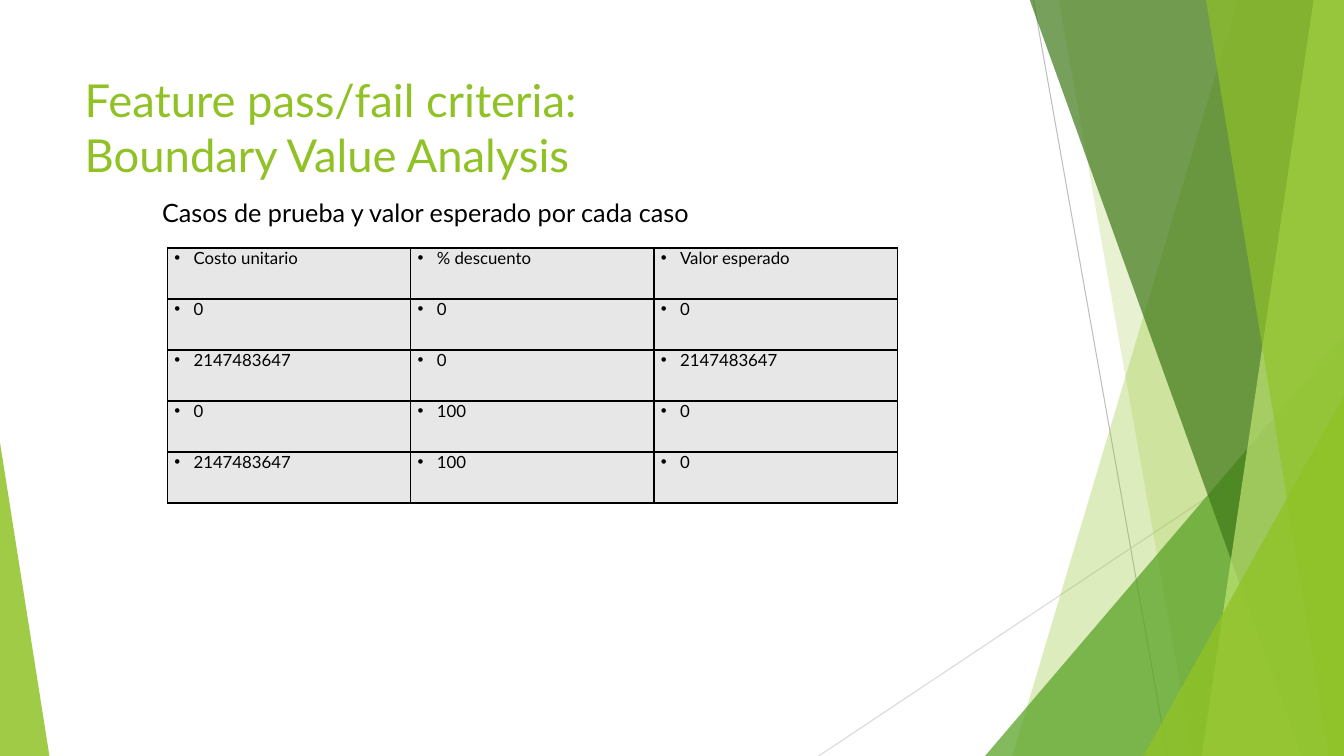
from pptx import Presentation
from pptx.dml.color import RGBColor as Rgb
from pptx.enum.shapes import MSO_CONNECTOR as Conn, MSO_SHAPE as Kind
from pptx.enum.text import MSO_ANCHOR as Anchor, MSO_AUTO_SIZE as Fit, PP_ALIGN as Align
from pptx.oxml import parse_xml
from pptx.oxml.ns import nsdecls
from pptx.util import Inches, Pt

WIDE, HIGH = 13.33, 7.5
LIME, BLACK, GREY = "90C226", "000000", "E7E7E7"
ROWS = [
    ("Costo unitario", "% descuento", "Valor esperado"),
    ("0", "0", "0"),
    ("2147483647", "0", "2147483647"),
    ("0", "100", "0"),
    ("2147483647", "100", "0"),
]


def hue(code):
    """Turn a hex string into a colour."""
    return Rgb.from_string(code)


def node(tag, attrs="", inner=""):
    """Make one DrawingML element."""
    return parse_xml(f"<a:{tag} {nsdecls('a')} {attrs}>{inner}</a:{tag}>")


def write(para, text, size, color):
    """Put text in a paragraph and format its runs."""
    para.text = text
    for run in para.runs:
        run.font.name = "Lato"
        run.font.size = Pt(size)
        run.font.color.rgb = hue(color)


def tint(shape, color, alpha):
    """Give a shape a see-through fill with no line or shadow."""
    shape.shadow.inherit = False
    shape.line.fill.background()
    shape.fill.solid()
    shape.fill.fore_color.rgb = hue(color)
    base = shape.fill._xPr.find(".//{*}srgbClr")
    base.append(node("alpha", f'val="{alpha * 1000}"'))


def ray(slide, start, end, color):
    """Draw a thin straight line."""
    ends = [Inches(n) for n in start + end]
    line = slide.shapes.add_connector(Conn.STRAIGHT, *ends)
    line.line.color.rgb = hue(color)
    line.line.width = Pt(0.75)
    line._element.spPr.append(node("effectLst"))


def sheet(slide, top, foot, color, alpha, right=WIDE):
    """Draw a full-height pane whose left edge slants from top to foot."""
    rise = -0.01
    spots = [(right, rise), (right, HIGH), (foot, HIGH)]
    pen = slide.shapes.build_freeform(Inches(top), Inches(rise))
    pen.add_line_segments([(Inches(x), Inches(y)) for x, y in spots])
    tint(pen.convert_to_shape(), color, alpha)


def wedge(slide, left, top, width, peak, color, alpha):
    """Draw a triangle that stands on the bottom edge."""
    box = [Inches(n) for n in (left, top, width, HIGH - top)]
    shape = slide.shapes.add_shape(Kind.ISOSCELES_TRIANGLE, *box)
    shape.adjustments[0] = peak
    tint(shape, color, alpha)


def facets(slide):
    """Draw the green facets at both sides."""
    ray(slide, (10.25, 0), (11.58, HIGH), "BFBFBF")
    ray(slide, (WIDE, 4.03), (8.12, HIGH), "D9D9D9")
    sheet(slide, 12.28, 10.04, LIME, 30)
    sheet(slide, 10.5, 11.83, LIME, 20)
    wedge(slide, 9.77, 3.33, 3.56, 1, "54A021", 72)
    sheet(slide, 10.21, 12.91, "3F7819", 70)
    sheet(slide, 13.03, 11.92, "C0E474", 70)
    sheet(slide, 11.96, 13.18, LIME, 65)
    wedge(slide, 11.34, 3.93, 1.99, 1, LIME, 80)
    wedge(slide, 0, 4.39, 0.49, 0, LIME, 85)


def head(slide, text):
    """Set the title in front of the facets."""
    title = slide.shapes.title
    title.left, title.top = Inches(0.74), Inches(0.67)
    title.width, title.height = Inches(9.4), Inches(1.44)
    frame = title.text_frame
    frame.auto_size = Fit.NONE
    frame.vertical_anchor = Anchor.TOP
    para = frame.paragraphs[0]
    write(para, text, 32.4, LIME)
    para.alignment = Align.LEFT
    slide.shapes._spTree.append(title._element)


def label(slide, text):
    """Add the line above the table."""
    box = slide.shapes.add_textbox(Inches(1.51), Inches(1.91), Inches(6.08), Inches(0.4))
    frame = box.text_frame
    frame.word_wrap = True
    frame.auto_size = Fit.SHAPE_TO_FIT_TEXT
    write(frame.paragraphs[0], text, 18, BLACK)


def fill_cell(cell, text):
    """Write one bulleted cell with black borders."""
    cell.margin_left = cell.margin_right = Inches(0.07)
    cell.margin_top = cell.margin_bottom = 0
    para = cell.text_frame.paragraphs[0]
    write(para, text, 12, BLACK)
    props = para._p.get_or_add_pPr()
    props.set("marL", str(Inches(0.19)))
    props.set("indent", str(Inches(-0.19)))
    props.append(node("buFont", 'typeface="Arial"'))
    props.append(node("buChar", 'char="•"'))
    edge = f'<a:solidFill><a:srgbClr val="{BLACK}"/></a:solidFill>'
    for side in "LRTB":
        cell._tc.get_or_add_tcPr().append(node("ln" + side, f'w="{Pt(1)}"', edge))
    cell.fill.solid()
    cell.fill.fore_color.rgb = hue(GREY)


def grid(slide, rows):
    """Add the table of test cases."""
    box = [Inches(n) for n in (1.66, 2.46, 7.24, 2.53)]
    table = slide.shapes.add_table(len(rows), len(rows[0]), *box).table
    table.first_row = table.horz_banding = False
    for r, row in enumerate(rows):
        for c, text in enumerate(row):
            fill_cell(table.cell(r, c), text)


def main():
    """Build the slide and save it."""
    deck = Presentation()
    deck.slide_width, deck.slide_height = Inches(WIDE), Inches(HIGH)
    slide = deck.slides.add_slide(deck.slide_layouts[5])
    facets(slide)
    head(slide, "Feature pass/fail criteria:\vBoundary Value Analysis")
    grid(slide, ROWS)
    label(slide, "Casos de prueba y valor esperado por cada caso")
    deck.save("out.pptx")


main()
